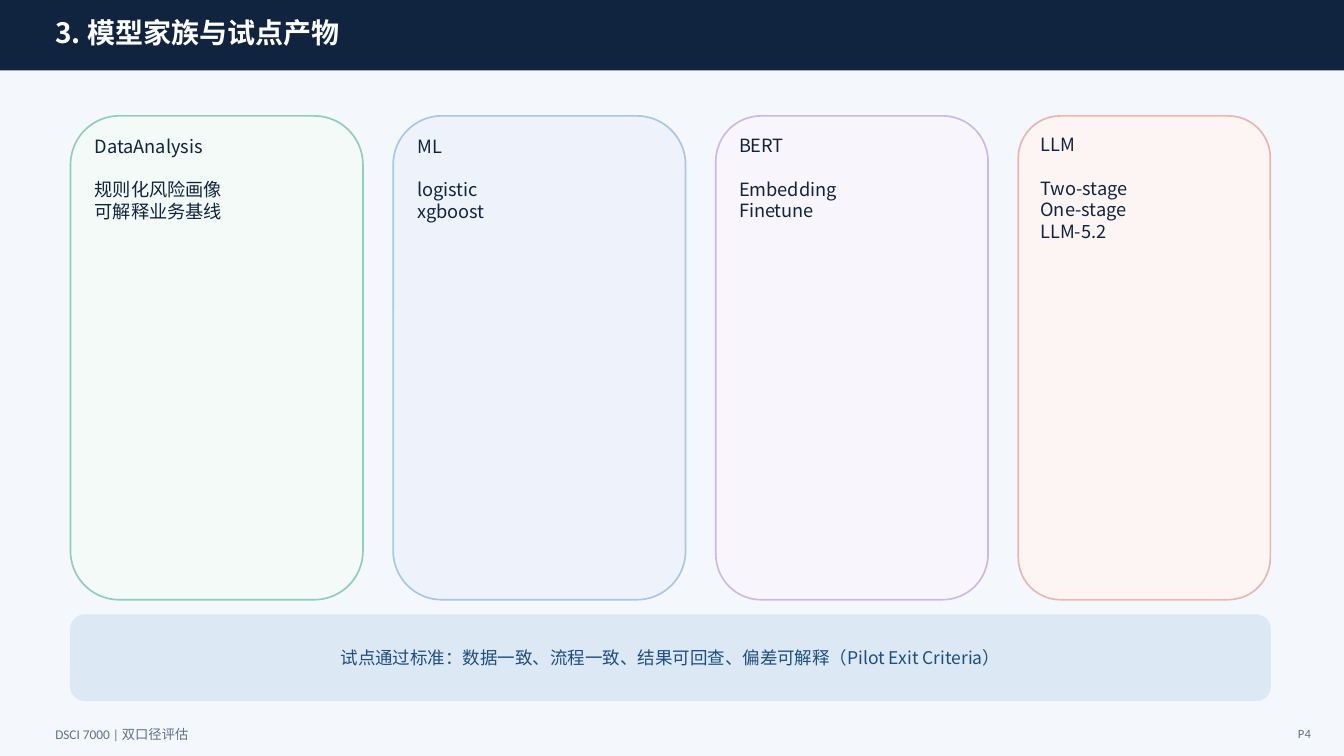
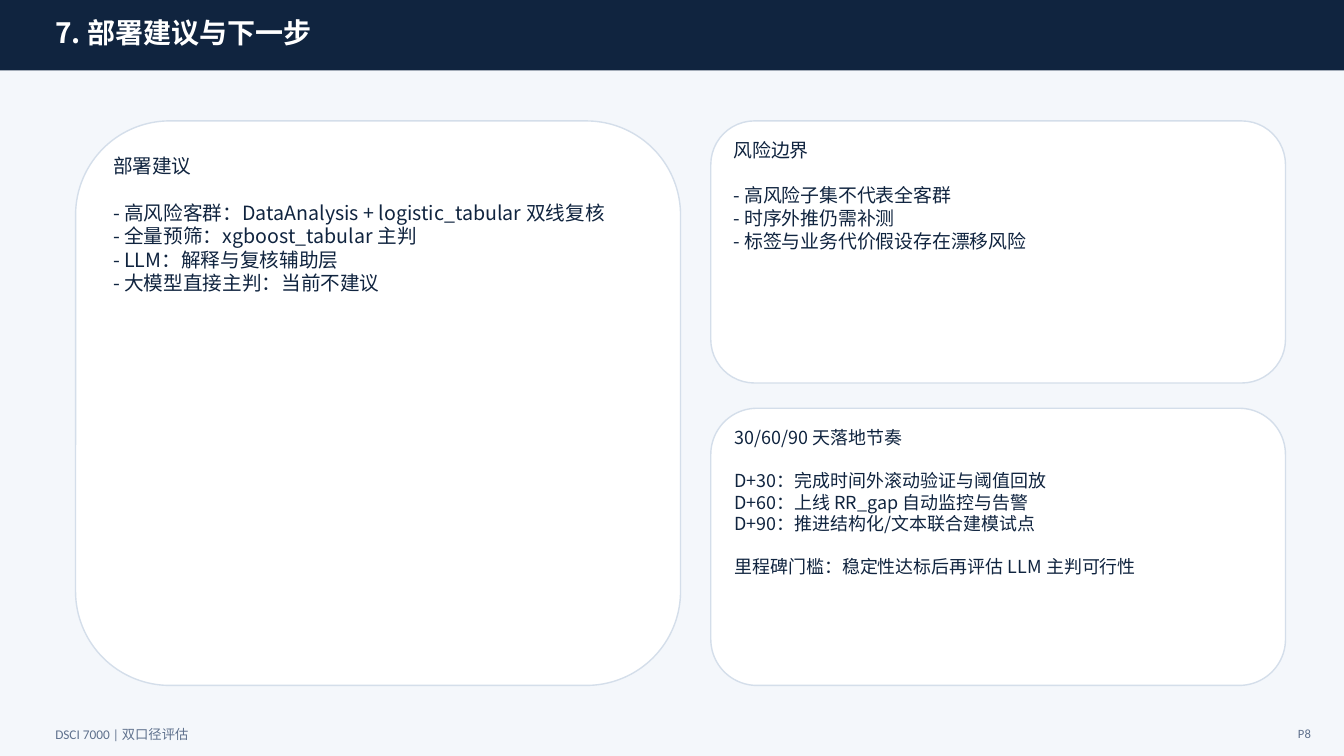
from dataclasses import dataclass

from pptx import Presentation
from pptx.dml import color
from pptx.enum import shapes, text
from pptx.util import Inches, Pt

Align = text.PP_ALIGN
Anchor = text.MSO_ANCHOR
Shape = shapes.MSO_SHAPE


@dataclass(frozen=True)
class Theme:
    back: str = "F4F7FB"
    navy: str = "10243F"
    white: str = "FFFFFF"
    edge: str = "D4DEEA"
    bar: str = "DDE8F5"
    blue: str = "1C4E80"
    grey: str = "5F718D"
    font: str = "Noto Sans CJK SC"
    small: str = "Calibri"
    title: float = 20
    model: float = 13
    note: float = 12.5
    foot: float = 9.5
    page: float = 9
    lead: float = 1.2


T = Theme()
WIDTH, HEIGHT = 13.33, 7.5


def rgb(code):
    return color.RGBColor.from_string(code)


def write(shape, groups, size, ink, font=T.font, bold=False,
          align=Align.LEFT, anchor=Anchor.MIDDLE):
    frame = shape.text_frame
    frame.word_wrap = True
    frame.vertical_anchor = anchor
    frame.text = "\n".join(line for group in groups for line in group)
    paras = iter(frame.paragraphs)
    for rank, group in enumerate(groups):
        for index in range(len(group)):
            para = next(paras)
            para.alignment = align
            if rank and not index:
                para.space_before = Pt(size * T.lead)
            for run in para.runs:
                run.font.size = Pt(size)
                run.font.name = font
                run.font.bold = bold
                run.font.color.rgb = rgb(ink)


def block(slide, box, fill, edge=None, weight=1, kind=Shape.ROUNDED_RECTANGLE):
    shape = slide.shapes.add_shape(kind, *map(Inches, box))
    shape.shadow.inherit = False
    shape.fill.solid()
    shape.fill.fore_color.rgb = rgb(fill)
    if edge:
        shape.line.color.rgb = rgb(edge)
        shape.line.width = Pt(weight)
    else:
        shape.line.fill.background()
    return shape


def label(slide, box, words, size, ink, **style):
    shape = slide.shapes.add_textbox(*map(Inches, box))
    write(shape, [[words]], size, ink, **style)


def card(slide, box, groups, size, fill=T.white, edge=T.edge, weight=1):
    shape = block(slide, box, fill, edge, weight)
    write(shape, groups, size, T.navy, anchor=Anchor.TOP)


def start(deck, title, page):
    slide = deck.slides.add_slide(deck.slide_layouts[6])
    slide.background.fill.solid()
    slide.background.fill.fore_color.rgb = rgb(T.back)
    block(slide, (0, 0, WIDTH, 0.7), T.navy, kind=Shape.RECTANGLE)
    label(slide, (0.45, 0.15, 11, 0.34), title, T.title, T.white, bold=True)
    label(slide, (12.1, 7.18, 1, 0.2), page, T.page, T.grey,
          font=T.small, align=Align.RIGHT)
    label(slide, (0.45, 7.18, 3.8, 0.2), "DSCI 7000 | 双口径评估",
          T.foot, T.grey, font=T.small)
    return slide


def models(deck):
    slide = start(deck, "3. 模型家族与试点产物", "P4")
    left, gap = 0.7, 0.3
    cards = [
        (2.9, "F3FAF7", "8FCFB7", "DataAnalysis", ["规则化风险画像", "可解释业务基线"]),
        (2.9, "EEF3FB", "A7C6E8", "ML", ["logistic", "xgboost"]),
        (2.7, "F8F5FD", "CDB8E8", "BERT", ["Embedding", "Finetune"]),
        (2.5, "FDF5F4", "E7B8B1", "LLM", ["Two-stage", "One-stage", "LLM-5.2"]),
    ]
    for wide, fill, edge, head, lines in cards:
        card(slide, (left, 1.15, wide, 4.8), [[head], lines],
             T.model, fill, edge, 1.2)
        left += wide + gap
    bar = block(slide, (0.7, 6.1, 11.9, 0.85), T.bar, T.bar, 0.75)
    write(bar, [["试点通过标准：数据一致、流程一致、结果可回查、偏差可解释（Pilot Exit Criteria）"]],
          T.note, T.blue, align=Align.CENTER)


def advice(deck):
    slide = start(deck, "7. 部署建议与下一步", "P8")
    card(slide, (0.75, 1.2, 6, 5.6), [
        ["部署建议"],
        ["- 高风险客群：DataAnalysis + logistic_tabular 双线复核",
         "- 全量预筛：xgboost_tabular 主判",
         "- LLM：解释与复核辅助层",
         "- 大模型直接主判：当前不建议"],
    ], 14)
    card(slide, (7.05, 1.2, 5.7, 2.6), [
        ["风险边界"],
        ["- 高风险子集不代表全客群",
         "- 时序外推仍需补测",
         "- 标签与业务代价假设存在漂移风险"],
    ], 13.5)
    card(slide, (7.05, 4.05, 5.7, 2.75), [
        ["30/60/90 天落地节奏"],
        ["D+30：完成时间外滚动验证与阈值回放",
         "D+60：上线 RR_gap 自动监控与告警",
         "D+90：推进结构化/文本联合建模试点"],
        ["里程碑门槛：稳定性达标后再评估 LLM 主判可行性"],
    ], 12.8)


def main():
    deck = Presentation()
    deck.slide_width, deck.slide_height = Inches(WIDTH), Inches(HEIGHT)
    models(deck)
    advice(deck)
    deck.save("out.pptx")


if __name__ == "__main__":
    main()
